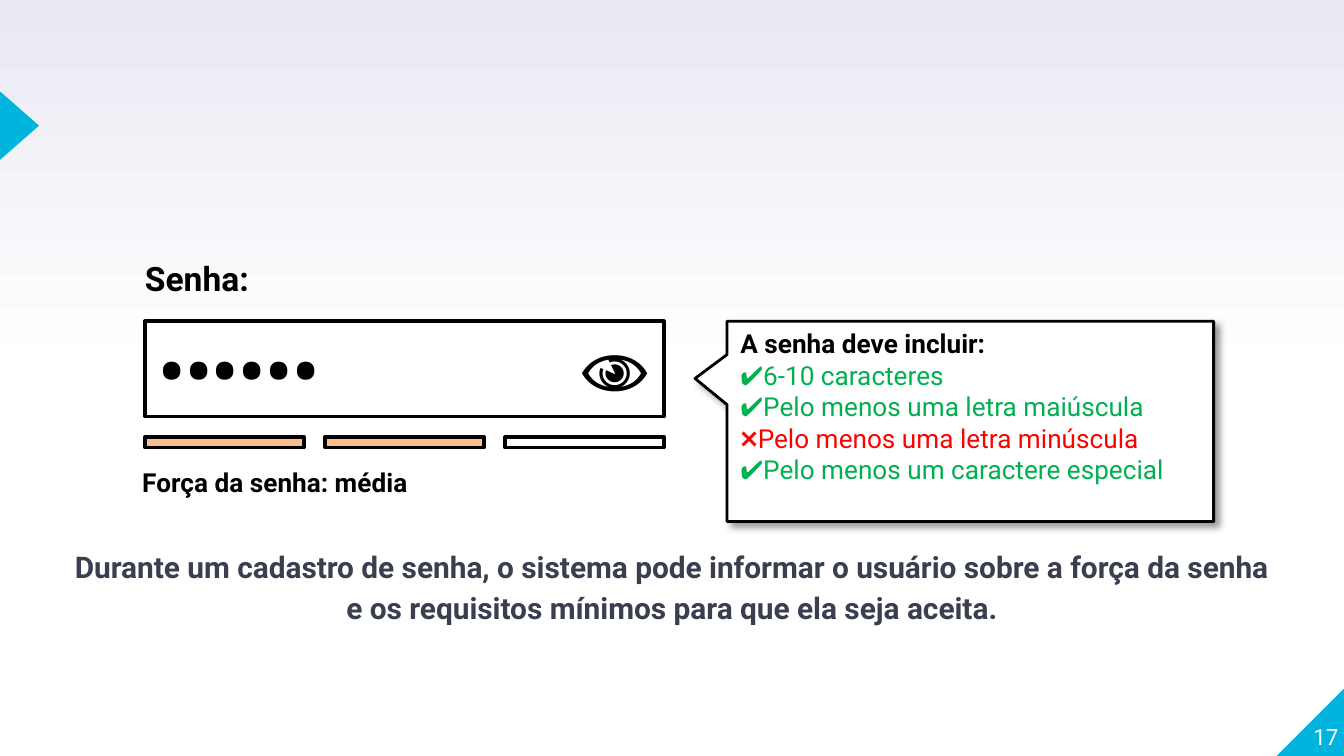
from typing import NamedTuple, Optional

from lxml import etree
from pptx import Presentation
from pptx.dml.color import RGBColor
from pptx.enum.shapes import MSO_SHAPE
from pptx.enum.text import MSO_ANCHOR, MSO_AUTO_SIZE, PP_ALIGN
from pptx.oxml.ns import qn
from pptx.util import Inches, Pt

RECTANGLE = MSO_SHAPE.RECTANGLE
TRIANGLE = MSO_SHAPE.ISOSCELES_TRIANGLE
CORNER = MSO_SHAPE.RIGHT_TRIANGLE
CALLOUT = MSO_SHAPE.RECTANGULAR_CALLOUT
TOP, MIDDLE, BOTTOM = MSO_ANCHOR.TOP, MSO_ANCHOR.MIDDLE, MSO_ANCHOR.BOTTOM
LEFT, CENTER, RIGHT = PP_ALIGN.LEFT, PP_ALIGN.CENTER, PP_ALIGN.RIGHT
NO_AUTOFIT = MSO_AUTO_SIZE.NONE

WHITE = RGBColor(0xFF, 0xFF, 0xFF)
BLACK = RGBColor(0x00, 0x00, 0x00)
LAVENDER = RGBColor(0xE9, 0xEA, 0xF2)
CYAN = RGBColor(0x00, 0xB5, 0xDD)
SLATE = RGBColor(0x3A, 0x3F, 0x50)
ORANGE = RGBColor(0xFA, 0xBF, 0x8E)
GREEN = RGBColor(0x00, 0xB0, 0x50)
RED = RGBColor(0xFF, 0x00, 0x00)

TEXT_FONT, SYMBOL_FONT = "Roboto", "Vollkorn"

# A 16:9 slide on a grid of 100 columns by 56.25 rows
SLIDE_WIDTH = Inches(10)
SLIDE_HEIGHT = SLIDE_WIDTH * 9 // 16
COLUMN, ROW = SLIDE_WIDTH / 100, SLIDE_HEIGHT / 56.25


class Area(NamedTuple):
    column: float
    row: float
    columns: float
    rows: float

    def lengths(self) -> tuple:
        return (int(self.column * COLUMN), int(self.row * ROW),
                int(self.columns * COLUMN), int(self.rows * ROW))


class Requirement(NamedTuple):
    text: str
    met: bool


FIELD = Area(10.8, 23.9, 38.6, 7.1)
BAR_COLORS = (ORANGE, ORANGE, WHITE)
BAR_WIDTH, BAR_STEP = 11.8, 13.4
REQUIREMENTS = (
    Requirement("6-10 caracteres", True),
    Requirement("Pelo menos uma letra maiúscula", True),
    Requirement("Pelo menos uma letra minúscula", False),
    Requirement("Pelo menos um caractere especial", True),
)


def add_span(para, text: str, *, size: float, color: RGBColor,
             bold: bool = False, font: str = TEXT_FONT):
    span = para.add_run()
    span.text = text
    span.font.size = Pt(size)
    span.font.name = font
    span.font.bold = bold
    span.font.color.rgb = color
    return span


def set_frame(box, *, anchor=TOP, wrap: bool = True, inset: bool = True):
    frame = box.text_frame
    frame.auto_size = NO_AUTOFIT
    frame.word_wrap = wrap
    frame.vertical_anchor = anchor
    frame.margin_left = frame.margin_right = Inches(0.1 if inset else 0)
    frame.margin_top = frame.margin_bottom = Inches(0.05 if inset else 0)
    return frame


def add_label(page, area: Area, text: str, *, size: float, align=LEFT,
              anchor=TOP, inset: bool = True, color: RGBColor = BLACK,
              bold: bool = True, font: str = TEXT_FONT) -> None:
    box = page.shapes.add_textbox(*area.lengths())
    para = set_frame(box, anchor=anchor, wrap=not inset, inset=inset).paragraphs[0]
    para.alignment = align
    add_span(para, text, size=size, color=color, bold=bold, font=font)


def add_figure(page, kind, area: Area, fill: RGBColor,
               line_width: Optional[float] = None):
    shape = page.shapes.add_shape(kind, *area.lengths())
    shape.shadow.inherit = False
    shape.fill.solid()
    shape.fill.fore_color.rgb = fill
    if line_width is None:
        shape.line.fill.background()
    else:
        shape.line.color.rgb = BLACK
        shape.line.width = Pt(line_width)
    return shape


def add_drop_shadow(shape) -> None:
    effects = shape._element.spPr.find(qn("a:effectLst"))
    shadow = etree.SubElement(effects, qn("a:outerShdw"), blurRad=str(Pt(4)),
                              dist=str(Pt(3)), dir="2700000", algn="tl", rotWithShape="0")
    color = etree.SubElement(shadow, qn("a:srgbClr"), val=str(BLACK))
    etree.SubElement(color, qn("a:alpha"), val="40000")


def fill_background(page) -> None:
    fill = page.background.fill
    fill.gradient()
    fill.gradient_angle = 90
    for stop, color, position in zip(fill.gradient_stops, (WHITE, LAVENDER), (0.5, 1)):
        stop.color.rgb = color
        stop.position = position


def add_caption(page, text: str) -> None:
    body = page.placeholders[1]
    body.left, body.top, body.width, body.height = Area(5.2, 40.4, 89.6, 12.1).lengths()
    para = set_frame(body, inset=False).paragraphs[0]
    properties = para._p.get_or_add_pPr()
    properties.set("marL", "0")
    properties.set("indent", "0")
    etree.SubElement(properties, qn("a:buNone"))
    para.alignment = CENTER
    para.line_spacing = 1.15
    para.space_before = Pt(0)
    span = add_span(para, text, size=16, color=SLATE, bold=True)
    highlight = etree.Element(qn("a:highlight"))
    etree.SubElement(highlight, qn("a:srgbClr"), val=str(WHITE))
    span._r.rPr.find(qn("a:solidFill")).addnext(highlight)


def add_requirements(page) -> None:
    callout = add_figure(page, CALLOUT, Area(54.1, 23.9, 36.2, 14.9), WHITE, 1.5)
    callout.adjustments[0], callout.adjustments[1] = -0.566, -0.214
    add_drop_shadow(callout)
    frame = set_frame(callout)
    heading = frame.paragraphs[0]
    heading.alignment = LEFT
    add_span(heading, "A senha deve incluir:", size=14, color=BLACK, bold=True)
    for requirement in REQUIREMENTS:
        para = frame.add_paragraph()
        para.alignment = LEFT
        mark, color = ("✔", GREEN) if requirement.met else ("❌", RED)
        add_span(para, mark, size=14, color=color, font=SYMBOL_FONT)
        add_span(para, requirement.text, size=14, color=color)


def add_password_field(page) -> None:
    field = add_figure(page, RECTANGLE, FIELD, WHITE, 2)
    para = set_frame(field, anchor=MIDDLE).paragraphs[0]
    para.alignment = LEFT
    add_span(para, "••••••", size=40, color=BLACK, bold=True)
    add_label(page, Area(9.8, 18.7, 9.9, 4), "Senha:", size=18)
    for index, color in enumerate(BAR_COLORS):
        bar = Area(FIELD.column + index * BAR_STEP, 32.5, BAR_WIDTH, 0.8)
        add_figure(page, RECTANGLE, bar, color, 2)


def main() -> None:
    deck = Presentation()
    deck.slide_width, deck.slide_height = SLIDE_WIDTH, SLIDE_HEIGHT
    page = deck.slides.add_slide(deck.slide_layouts[1])
    title = page.shapes.title._element
    title.getparent().remove(title)
    fill_background(page)

    # Corner and side ornaments
    corner = add_figure(page, CORNER, Area(95, 51.15, 5.1, 5.1), CYAN)
    corner._element.spPr.xfrm.set("flipH", "1")
    add_figure(page, TRIANGLE, Area(-1.1, 7.9, 5.1, 2.9), CYAN).rotation = 90

    # Caption and page number
    add_caption(page, "Durante um cadastro de senha, o sistema pode informar o usuário "
                      "sobre a força da senha e os requisitos mínimos para que ela seja aceita.")
    add_label(page, Area(94.6, 50.7, 5, 5.1), "17", size=12, align=RIGHT,
              anchor=BOTTOM, inset=False, color=WHITE, bold=False)

    # Password form
    add_password_field(page)
    add_requirements(page)
    add_label(page, Area(9.6, 34.2, 22, 3.4), "Força da senha: média", size=14)
    add_label(page, Area(42.3, 23.9, 7.1, 7.1), "👁", size=36, bold=False, font=SYMBOL_FONT)

    deck.save("out.pptx")


if __name__ == "__main__":
    main()
